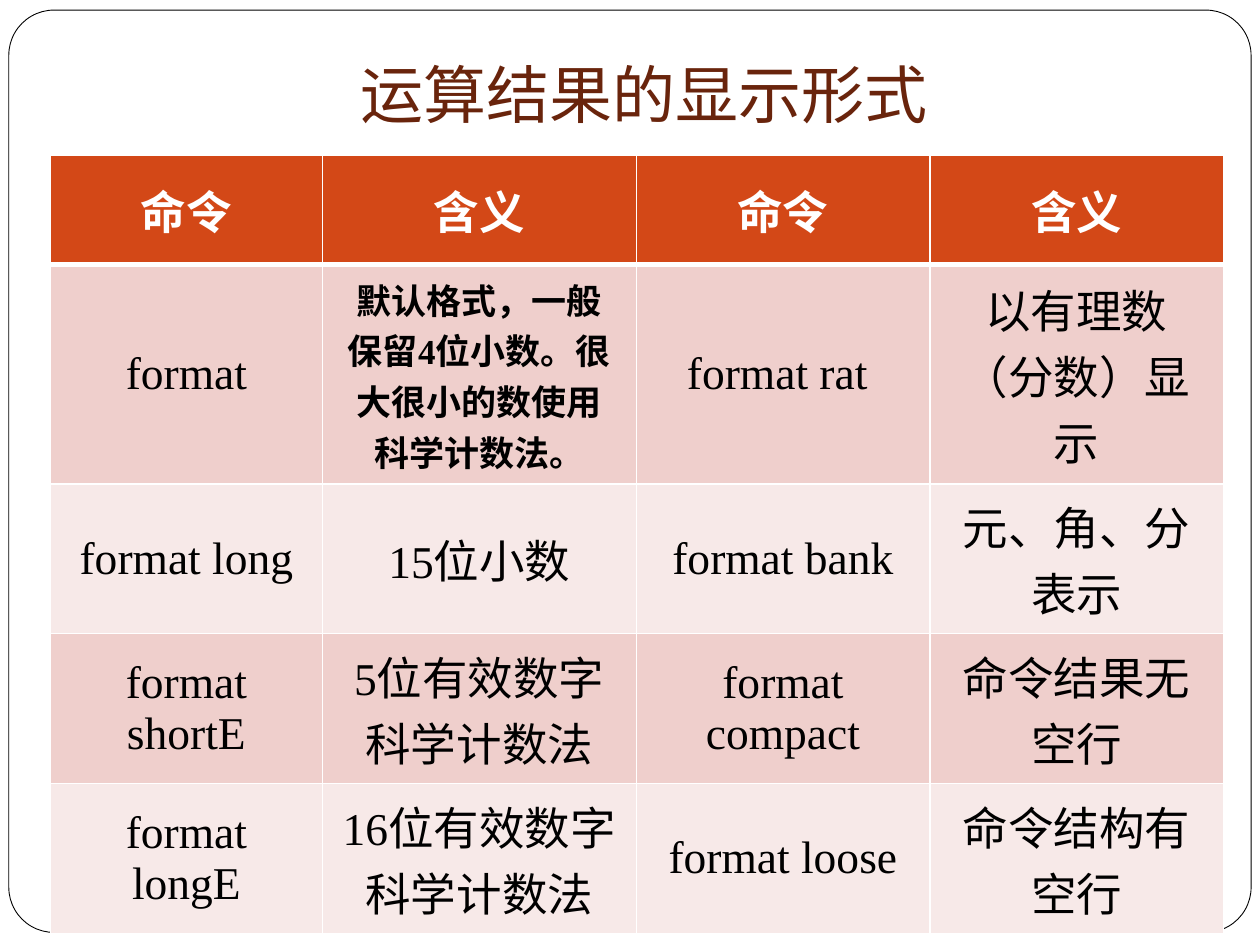
from lxml.etree import SubElement
from pptx import Presentation
from pptx.dml.color import RGBColor
from pptx.enum.shapes import MSO_SHAPE as Shape
from pptx.enum.text import MSO_ANCHOR as Anchor, PP_ALIGN as Align
from pptx.oxml import parse_xml
from pptx.oxml.ns import nsdecls, qn
from pptx.util import Inches, Pt

WIDTH, HEIGHT = 10, 7.5
WHITE = RGBColor(0xFF, 0xFF, 0xFF)
BLACK = RGBColor(0, 0, 0)
BROWN = RGBColor(0x69, 0x24, 0x0C)
ORANGE = RGBColor(0xD3, 0x48, 0x17)
BANDS = RGBColor(0xEF, 0xCF, 0xCC), RGBColor(0xF7, 0xE9, 0xE8)
CJK_FONT = "Noto Sans CJK SC"
LATIN_FONT = "Times New Roman"

COLUMNS = 2.16, 2.49, 2.33, 2.33
HEADER_ROW, TALL_ROW, TWO_LINE_ROW = 0.87, 1.74, 1.19
ROWS = HEADER_ROW, TALL_ROW, *[TWO_LINE_ROW] * 3
COMMANDS = [
    ("命令", "含义", "命令", "含义"),
    ("format", "默认格式，一般保留4位小数。很大很小的数使用科学计数法。",
     "format rat ", "以有理数（分数）显示"),
    ("format long", "15位小数", "format bank", "元、角、分表示"),
    ("format shortE", "5位有效数字科学计数法", "format compact", "命令结果无空行"),
    ("format longE", "16位有效数字科学计数法", "format loose", "命令结构有空行"),
]
SMALL_CELL = (1, 1)


def write(frame, text, size=26, color=BLACK, bold=False, font=LATIN_FONT):
    para = frame.paragraphs[0]
    para.alignment = Align.CENTER
    span = para.add_run()
    span.text = text
    span.font.size = Pt(size)
    span.font.bold = bold
    span.font.color.rgb = color
    span.font.name = font
    SubElement(span.font._element, qn("a:ea"), typeface=CJK_FONT)


def set_margins(area, across, top, bottom):
    area.margin_left = area.margin_right = Inches(across)
    area.margin_top, area.margin_bottom = Inches(top), Inches(bottom)


def add_frame(page, box):
    frame = page.shapes.add_shape(Shape.ROUNDED_RECTANGLE, *map(Inches, box))
    frame.adjustments[0] = 0.049
    frame.shadow.inherit = False
    frame.fill.solid()
    frame.fill.fore_color.rgb = WHITE
    frame.line.color.rgb = BLACK
    frame.line.width = Pt(0.5)


def add_title(page, box, text):
    frame = page.shapes.add_textbox(*map(Inches, box)).text_frame
    frame.word_wrap = True
    frame.vertical_anchor = Anchor.BOTTOM
    set_margins(frame, 0.1, 0.05, 0.1)
    write(frame, text, size=36, color=BROWN, font=CJK_FONT)


def set_borders(cell, **widths):
    properties = cell._tc.get_or_add_tcPr()
    for index, side in enumerate("LRTB"):
        properties.insert(index, parse_xml(
            f'<a:ln{side} {nsdecls("a")} w="{Pt(widths.get(side, 1))}">'
            f'<a:solidFill><a:srgbClr val="{WHITE}"/></a:solidFill></a:ln{side}>'))


def add_commands(page, box):
    table = page.shapes.add_table(
        len(ROWS), len(COLUMNS), *map(Inches, box)).table
    for column, width in zip(table.columns, COLUMNS):
        column.width = Inches(width)
    for r, (row, height) in enumerate(zip(table.rows, ROWS)):
        row.height = Inches(height)
        header = r == 0
        for c, cell in enumerate(row.cells):
            small = (r, c) == SMALL_CELL
            cell.vertical_anchor = Anchor.MIDDLE
            set_margins(cell, 0.14, 0.07, 0.07)
            cell.fill.solid()
            cell.fill.fore_color.rgb = ORANGE if header else BANDS[(r - 1) % 2]
            set_borders(cell, T=3 if r == 1 else 1, B=3 if header else 1)
            write(cell.text_frame, COMMANDS[r][c], size=20 if small else 26,
                  color=WHITE if header else BLACK, bold=header or small)


def main():
    deck = Presentation()
    deck.slide_width, deck.slide_height = Inches(WIDTH), Inches(HEIGHT)
    page = deck.slides.add_slide(deck.slide_layouts[6])
    add_frame(page, (0.07, 0.08, 9.86, 7.32))
    add_title(page, (0.86, -0.11, 8.5, 1.25), "运算结果的显示形式")
    add_commands(page, (0.4, 1.23, sum(COLUMNS), sum(ROWS)))
    deck.save("out.pptx")


if __name__ == "__main__":
    main()
